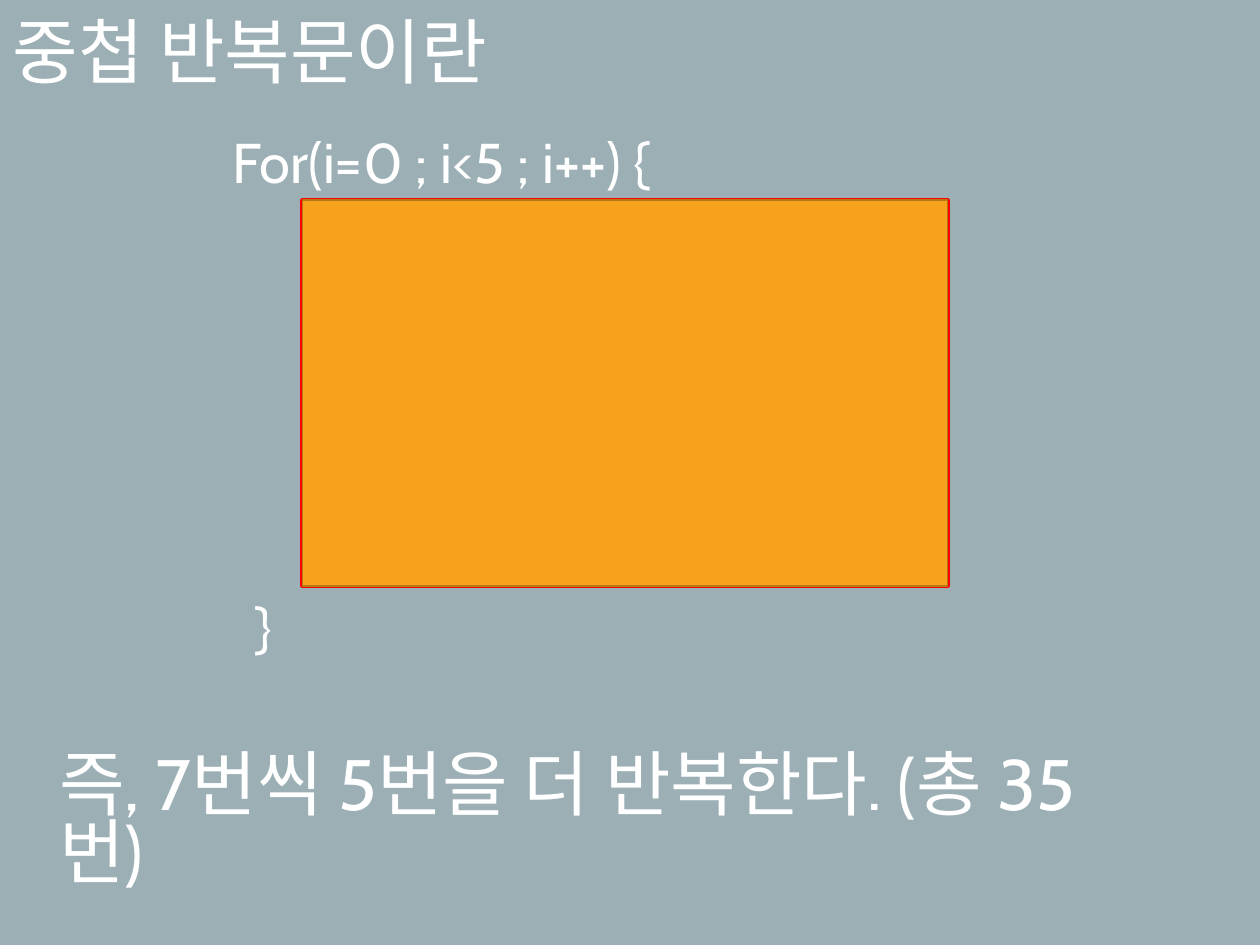
from pptx import Presentation
from pptx.dml.color import RGBColor
from pptx.enum.shapes import MSO_SHAPE
from pptx.enum.text import MSO_ANCHOR, MSO_AUTO_SIZE, PP_ALIGN
from pptx.util import Inches, Pt

COLORS = {"back": "9BAFB5", "text": "FFFFFF", "frame": "FF0000",
          "block": "F6A21D", "block_edge": "B67815"}
FONT = "Cabin"
HEADING_SIZE, CODE_SIZE = 40.7, 32


def rgb(name):
    return RGBColor.from_string(COLORS[name])


class Deck:
    def __init__(self, prs):
        self.slide = prs.slides.add_slide(prs.slide_layouts[5])
        fill = self.slide.background.fill
        fill.solid()
        fill.fore_color.rgb = rgb("back")

    def set_text(self, sp, text, size):
        tf = sp.text_frame
        tf.text = text
        tf.word_wrap = True
        tf.auto_size = MSO_AUTO_SIZE.NONE
        tf.vertical_anchor = MSO_ANCHOR.TOP
        p = tf.paragraphs[0]
        p.alignment = PP_ALIGN.LEFT
        font = p.runs[0].font
        font.name, font.size = FONT, Pt(size)
        font.color.rgb = rgb("text")
        return p

    def heading(self, sp, text):
        p = self.set_text(sp, text, HEADING_SIZE)
        p.line_spacing, p.space_before = 0.8, Pt(10)

    def title(self, text, *box):
        sp = self.slide.shapes.title
        sp.left, sp.top, sp.width, sp.height = map(Inches, box)
        self.heading(sp, text)

    def textbox(self, *box):
        return self.slide.shapes.add_textbox(*map(Inches, box))

    def summary(self, text, *box):
        self.heading(self.textbox(*box), text)

    def code(self, text, left, top):
        self.set_text(self.textbox(left, top, 5.28, 0.64), text, CODE_SIZE)

    def rect(self, box, line, width, fill=None):
        sp = self.slide.shapes.add_shape(MSO_SHAPE.RECTANGLE, *map(Inches, box))
        sp.shadow.inherit = False
        sp.line.color.rgb, sp.line.width = rgb(line), Pt(width)
        if fill:
            sp.fill.solid()
            sp.fill.fore_color.rgb = rgb(fill)
        else:
            sp.fill.background()


prs = Presentation()
prs.slide_width, prs.slide_height = Inches(10), Inches(7.5)
deck = Deck(prs)

# Title
deck.title("중첩 반복문이란", 0, 0.14, 8.39, 0.66)

# Outer loop
deck.code("For(i=0 ; i<5 ; i++) {", 1.75, 0.96)
deck.code("}", 1.93, 4.65)

# Loop body: red frame around a filled block
body = (2.4, 1.59, 5.12, 3.06)
deck.rect(body, "frame", 3)
deck.rect(body, "block_edge", 1, "block")

# Summary
deck.summary("즉, 7번씩 5번을 더 반복한다. (총 35번)", 0.37, 5.95, 8.39, 0.66)

prs.save("out.pptx")
